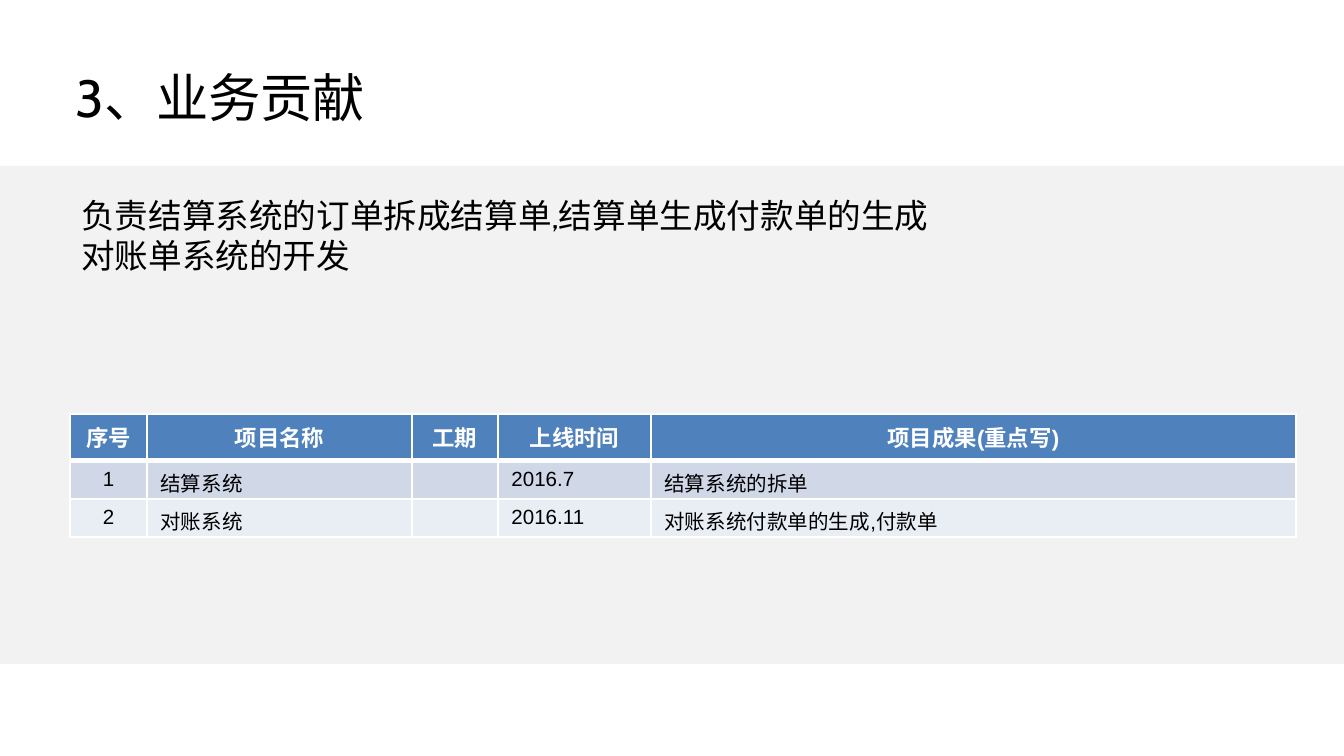
"""Build the business contribution slide with its project table."""
from lxml import etree
from pptx import Presentation
from pptx.dml.color import RGBColor
from pptx.enum.shapes import MSO_SHAPE
from pptx.enum.text import MSO_ANCHOR, MSO_AUTO_SIZE, PP_ALIGN
from pptx.oxml.ns import qn
from pptx.util import Pt

RECTANGLE = MSO_SHAPE.RECTANGLE
MIDDLE = MSO_ANCHOR.MIDDLE
FIT_SHAPE = MSO_AUTO_SIZE.SHAPE_TO_FIT_TEXT
NO_FIT = MSO_AUTO_SIZE.NONE
LEFT, CENTER = PP_ALIGN.LEFT, PP_ALIGN.CENTER

BLACK = RGBColor(0x00, 0x00, 0x00)
WHITE = RGBColor(0xFF, 0xFF, 0xFF)
PANEL = RGBColor(0xF2, 0xF2, 0xF2)
HEADER = RGBColor(0x4F, 0x81, 0xBD)
BANDS = [RGBColor(0xD0, 0xD8, 0xE8), RGBColor(0xE9, 0xED, 0xF4)]

PX = 914400 / 134.4


def px(*lengths):
    return [round(n * PX) for n in lengths]


def add_borders(cell, bottom):
    tc_pr = cell._tc.get_or_add_tcPr()
    for side, width in (("L", 1), ("R", 1), ("T", 1), ("B", bottom)):
        ln = etree.SubElement(tc_pr, qn(f"a:ln{side}"), w=str(Pt(width)))
        fill = etree.SubElement(ln, qn("a:solidFill"))
        etree.SubElement(fill, qn("a:srgbClr"), val=str(WHITE))


prs = Presentation()
prs.slide_width, prs.slide_height = px(1344, 756)
s = prs.slides.add_slide(prs.slide_layouts[5])

panel = s.shapes.add_shape(RECTANGLE, *px(0, 166, 1344, 498))
panel.shadow.inherit = False
panel.fill.solid()
panel.fill.fore_color.rgb = PANEL
panel.line.fill.background()

title = s.shapes.title
title.left, title.top, title.width, title.height = px(62, 34, 1210, 126)
title.text_frame.text = "3、业务贡献"
title.text_frame.vertical_anchor = MIDDLE
title.text_frame.auto_size = NO_FIT

duties = s.shapes.add_textbox(*px(68, 188, 900, 95))
duties.text_frame.word_wrap = False
duties.text_frame.auto_size = FIT_SHAPE
duties.text_frame.text = "负责结算系统的订单拆成结算单,结算单生成付款单的生成\n对账单系统的开发".replace(",", ",")

for sp, size in ((title, 28), (duties, 18)):
    for p in sp.text_frame.paragraphs:
        p.alignment = LEFT
        font = p.runs[0].font
        font.name, font.size = "Cabin", Pt(size)
        font.color.rgb = BLACK

rows = [
    ["序号", "项目名称", "工期", "上线时间", "项目成果(重点写)"],
    ["1", "结算系统", "", "2016.7", "结算系统的拆单"],
    ["2", "对账系统", "", "2016.11", "对账系统付款单的生成,付款单"],
]
widths = px(77, 265, 86, 153, 645)
heights = px(47, 38, 38)
table = s.shapes.add_table(
    len(rows), len(widths), *px(70, 414), sum(widths), sum(heights)
).table
for column, width in zip(table.columns, widths):
    column.width = width

for i, (row, height) in enumerate(zip(rows, heights)):
    table.rows[i].height = height
    is_header = i == 0
    size = Pt(12 if is_header else 11)
    for j, text in enumerate(row):
        cell = table.cell(i, j)
        add_borders(cell, 3 if is_header else 1)
        cell.fill.solid()
        cell.fill.fore_color.rgb = HEADER if is_header else BANDS[i - 1]
        cell.text_frame.text = text
        p = cell.text_frame.paragraphs[0]
        p.alignment = CENTER if is_header or j == 0 else LEFT
        p._p.get_or_add_endParaRPr().set("sz", str(round(size.pt * 100)))
        for r in p.runs:
            r.font.name, r.font.size, r.font.bold = "Arial", size, is_header
            r.font.color.rgb = WHITE if is_header else BLACK

prs.save("out.pptx")
